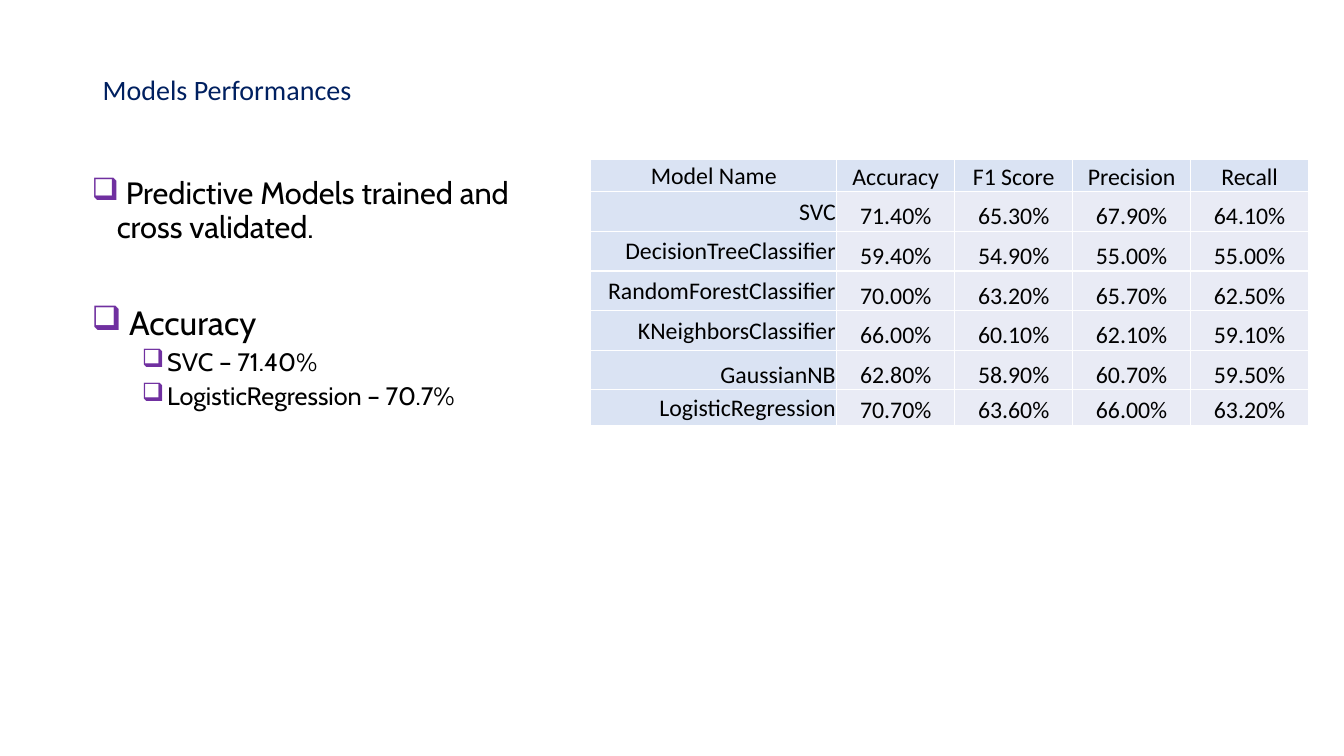
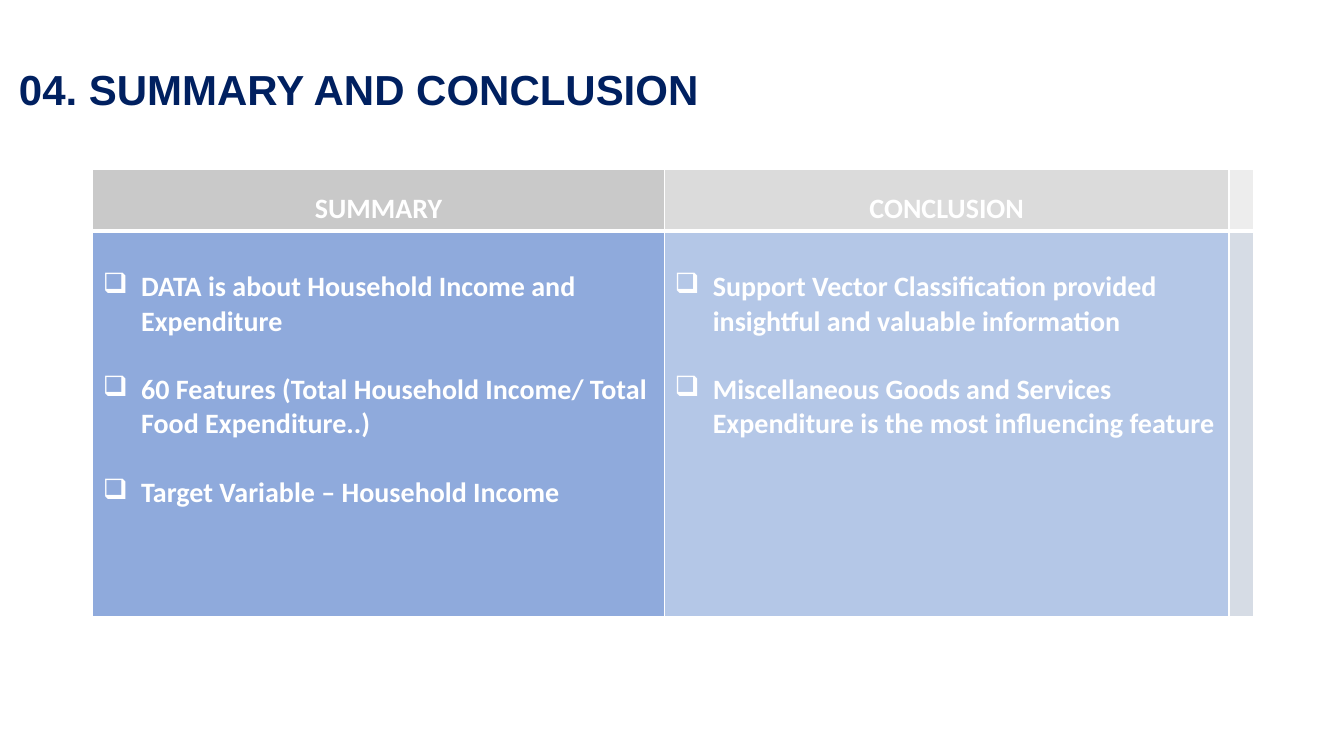
from lxml import etree
from pptx import Presentation
from pptx.dml.color import RGBColor
from pptx.enum.text import MSO_ANCHOR as Anchor, PP_ALIGN as Align
from pptx.oxml.ns import qn
from pptx.util import Inches, Pt

SLIDE_SIZE = (13.33, 7.5)
NAVY, PURPLE, BLACK, WHITE = "002060", "7030A0", "000000", "FFFFFF"
LABEL_FILL, VALUE_FILL = "DAE3F3", "E9EBF5"
BULLET = "❑"

SCORES = [
    ("Model Name", "Accuracy", "F1 Score", "Precision", "Recall"),
    ("SVC", "71.40%", "65.30%", "67.90%", "64.10%"),
    ("DecisionTreeClassifier", "59.40%", "54.90%", "55.00%", "55.00%"),
    ("RandomForestClassifier", "70.00%", "63.20%", "65.70%", "62.50%"),
    ("KNeighborsClassifier", "66.00%", "60.10%", "62.10%", "59.10%"),
    ("GaussianNB", "62.80%", "58.90%", "60.70%", "59.50%"),
    ("LogisticRegression", "70.70%", "63.60%", "66.00%", "63.20%"),
]
FINDINGS = [
    (" Predictive Models trained and cross validated.", 22, 0.25, 10),
    (" Accuracy", 24, 0.25, 44),
    ("SVC – 71.40%", 18, 0.75, 5),
    ("LogisticRegression – 70.7%", 18, 0.75, 5),
]
CLOSING_COLUMNS = [
    ("SUMMARY", "C9C9C9", "8FAADC", [
        "DATA is about Household Income and Expenditure",
        "60 Features (Total Household Income/ Total Food Expenditure..)",
        "Target Variable – Household Income"]),
    ("CONCLUSION", "DBDBDB", "B4C7E7", [
        "Support Vector Classification provided insightful and valuable information",
        "Miscellaneous Goods and Services Expenditure is the most influencing feature"]),
    ("", "EDEDED", "D6DCE5", []),
]


def rgb(color):
    """Turn a hex string into a colour."""
    return RGBColor.from_string(color)


def style(paragraph, text, size, color, font="Calibri", bold=False, align=Align.LEFT):
    """Write one paragraph and set its font and alignment."""
    paragraph.text = text
    paragraph.alignment = align
    paragraph.font.name = font
    paragraph.font.size = Pt(size)
    paragraph.font.bold = bold
    paragraph.font.color.rgb = rgb(color)


def add_bullet(paragraph, color, indent, hanging):
    """Give a paragraph a coloured box bullet with a hanging indent."""
    properties = paragraph._p.get_or_add_pPr()
    properties.set("marL", str(Inches(indent)))
    properties.set("indent", str(-Inches(hanging)))
    bullet_color = etree.SubElement(properties, qn("a:buClr"))
    etree.SubElement(bullet_color, qn("a:srgbClr"), val=color)
    etree.SubElement(properties, qn("a:buChar"), char=BULLET)
    defaults = properties.find(qn("a:defRPr"))
    if defaults is not None:
        properties.append(defaults)


def paragraphs_for(frame, items):
    """Pair each item with a paragraph of the frame, adding those missing."""
    for index, item in enumerate(items):
        yield (frame.add_paragraph() if index else frame.paragraphs[0]), item


def add_text_frame(slide, box, anchor=Anchor.TOP):
    """Add a wrapping text box and return its frame."""
    frame = slide.shapes.add_textbox(*map(Inches, box)).text_frame
    frame.word_wrap = True
    frame.vertical_anchor = anchor
    return frame


def add_title(slide, box, text, size, font="Calibri", bold=False):
    """Add a navy slide title."""
    paragraph = add_text_frame(slide, box, Anchor.MIDDLE).paragraphs[0]
    style(paragraph, text, size, NAVY, font, bold)
    paragraph.line_spacing = 0.9


def add_grid(slide, box, columns, rows):
    """Add an unbanded table whose columns and rows share the box by weight."""
    frame = slide.shapes.add_table(len(rows), len(columns), *map(Inches, box))
    table = frame.table
    table.first_row = table.horz_banding = False
    for column, weight in zip(table.columns, columns):
        column.width = Inches(box[2] * weight / sum(columns))
    for row, weight in zip(table.rows, rows):
        row.height = Inches(box[3] * weight / sum(rows))
    return table


def paint_cell(cell, fill, top=1, bottom=1):
    """Fill a cell and draw its white borders."""
    cell.fill.solid()
    cell.fill.fore_color.rgb = rgb(fill)
    properties = cell._tc.get_or_add_tcPr()
    widths = {"a:lnL": 1, "a:lnR": 1, "a:lnT": top, "a:lnB": bottom}
    for index, (side, width) in enumerate(widths.items()):
        line = etree.Element(qn(side), w=str(Pt(width)))
        solid = etree.SubElement(line, qn("a:solidFill"))
        etree.SubElement(solid, qn("a:srgbClr"), val=WHITE)
        properties.insert(index, line)


def add_findings(slide, box):
    """Add the two-level bullet list."""
    for paragraph, item in paragraphs_for(add_text_frame(slide, box), FINDINGS):
        text, size, indent, before = item
        style(paragraph, text, size, BLACK, "Cabin")
        paragraph.line_spacing = 0.9
        paragraph.space_before = Pt(before)
        add_bullet(paragraph, PURPLE, indent, 0.25)


def add_score_table(slide, box):
    """Add the table of scores per model."""
    rows = [0.32] + [0.39] * 5 + [0.35]
    table = add_grid(slide, box, [2.44] + [1.17] * 4, rows)
    for row, values in enumerate(SCORES):
        for column, value in enumerate(values):
            cell = table.cell(row, column)
            is_label = column == 0
            paint_cell(cell, LABEL_FILL if is_label or row == 0 else VALUE_FILL)
            cell.margin_left = cell.margin_right = cell.margin_top = Inches(0.01)
            cell.margin_bottom = 0
            is_middle = is_label and value != "GaussianNB"
            cell.vertical_anchor = Anchor.MIDDLE if is_middle else Anchor.BOTTOM
            align = Align.RIGHT if is_label and row else Align.CENTER
            style(cell.text_frame.paragraphs[0], value, 17, BLACK, align=align)


def add_closing_table(slide, box):
    """Add the summary and conclusion columns."""
    table = add_grid(slide, box, [5.67, 5.6, 0.23], [0.61, 3.83])
    for column, (heading, head_fill, body_fill, points) in enumerate(CLOSING_COLUMNS):
        head, body = table.cell(0, column), table.cell(1, column)
        paint_cell(head, head_fill, bottom=3)
        paint_cell(body, body_fill, top=3)
        title = head.text_frame.paragraphs[0]
        style(title, heading, 20, WHITE, bold=True, align=Align.CENTER)
        title.line_spacing = 1.5
        body.margin_top = Inches(0.39)
        for paragraph, point in paragraphs_for(body.text_frame, points):
            style(paragraph, point, 20, WHITE, bold=True)
            paragraph.space_before = Pt(0 if point == points[0] else 24.4)
            add_bullet(paragraph, WHITE, 0.38, 0.38)


def build_performance_slide(slide):
    """Build the slide on model performances."""
    add_title(slide, (0.92, 0.65, 11.5, 0.51), "Models Performances", 20)
    add_findings(slide, (0.81, 1.72, 4.85, 3.67))
    add_score_table(slide, (5.86, 1.58, 7.12, 2.64))


def build_closing_slide(slide):
    """Build the slide with summary and conclusion."""
    add_title(slide, (0.09, 0.54, 13.2, 0.74), "04. SUMMARY AND CONCLUSION", 30, "Arial", True)
    add_closing_table(slide, (0.92, 1.68, 11.5, 4.44))


def main():
    """Build and save the presentation."""
    presentation = Presentation()
    presentation.slide_width, presentation.slide_height = map(Inches, SLIDE_SIZE)
    for build in (build_performance_slide, build_closing_slide):
        build(presentation.slides.add_slide(presentation.slide_layouts[6]))
    presentation.save("out.pptx")


if __name__ == "__main__":
    main()
